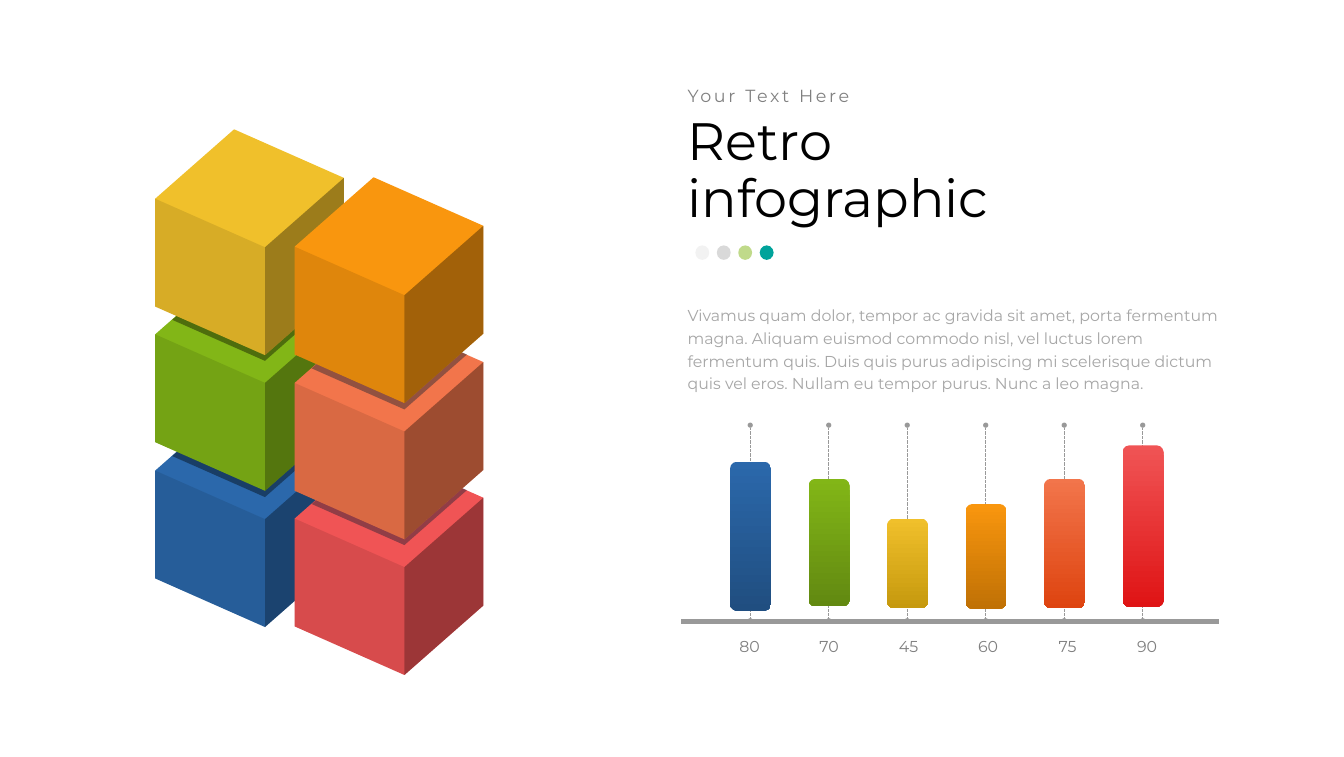
from dataclasses import dataclass

from lxml import etree
from pptx import Presentation
from pptx.dml.color import RGBColor
from pptx.enum import dml, shapes, text
from pptx.oxml import ns
from pptx.util import Inches, Pt


@dataclass(frozen=True)
class Theme:
    font: str = "Montserrat"
    title: str = "000000"
    muted: str = "808080"
    body: str = "A6A6A6"
    rule: str = "999999"
    shade: str = "000000"
    navy: str = "041B30"
    blue: str = "2B68AB"
    green: str = "82B617"
    yellow: str = "F0C02B"
    orange: str = "F9960E"
    coral: str = "F2754B"
    red: str = "F05455"
    title_size: int = 60
    kicker_size: int = 20
    text_size: int = 18


T = Theme()
BODY = (
    "Vivamus quam dolor, tempor ac gravida sit amet, porta fermentum magna. "
    "Aliquam euismod commodo nisl, vel luctus lorem fermentum quis. "
    "Duis quis purus adipiscing mi scelerisque dictum quis vel eros. "
    "Nullam eu tempor purus. Nunc a leo magna."
)
OUTLINE = [(1.25, 0), (0, 1.1), (0, 2.81), (1.74, 3.58), (2.99, 2.48), (2.99, 0.77)]
LEFT_FACE = [(0, 2.81), (1.74, 3.58), (1.74, 1.87), (0, 1.1)]
RIGHT_FACE = [(1.74, 3.58), (2.99, 2.48), (2.99, 0.77), (1.74, 1.87)]
CAST_SHADOW = [(0.27, 0.87), (1.74, 1.52), (2.73, 0.65), (1.26, 0)]
CUBES = [
    (2.46, 6.36, T.blue, T.shade),
    (2.46, 4.2, T.green, T.shade),
    (4.67, 7.12, T.red, T.navy),
    (4.67, 4.97, T.coral, T.navy),
    (2.46, 2.05, T.yellow, None),
    (4.67, 2.81, T.orange, None),
]
BARS = [
    ("80", 7.32, 2.36, T.blue, "204E80"),
    ("70", 7.59, 2.02, T.green, "628911"),
    ("45", 8.22, 1.42, T.yellow, "C6990E"),
    ("60", 7.99, 1.66, T.orange, "C07105"),
    ("75", 7.59, 2.05, T.coral, "DE4410"),
    ("90", 7.06, 2.56, T.red, "DF1415"),
]
DOTS = [("F2F2F2", 100), ("D9D9D9", 98), (T.green, 50), ("00A39B", 100)]


def rgb(color):
    return RGBColor.from_string(color)


def paint(sp, color, opacity=100):
    sp.shadow.inherit = False
    sp.line.fill.background()
    sp.fill.solid()
    sp.fill.fore_color.rgb = rgb(color)
    if opacity < 100:
        clr = sp.fill._xPr.find(".//" + ns.qn("a:srgbClr"))
        etree.SubElement(clr, ns.qn("a:alpha"), val=str(opacity * 1000))


def add_face(group, x, y, points, color, opacity=100):
    pts = [(Inches(x + dx), Inches(y + dy)) for dx, dy in points]
    builder = group.shapes.build_freeform(*pts[0])
    builder.add_line_segments(pts[1:], close=True)
    paint(builder.convert_to_shape(), color, opacity)


def add_cube(group, x, y, color, shadow):
    add_face(group, x, y, OUTLINE, color)
    add_face(group, x, y, LEFT_FACE, T.shade, 10)
    add_face(group, x, y, RIGHT_FACE, T.shade, 35)
    if shadow:
        add_face(group, x, y, CAST_SHADOW, shadow, 40)


def add_line(group, start, end, width, dotted=False):
    ends = [Inches(v) for v in (*start, *end)]
    line = group.shapes.add_connector(shapes.MSO_CONNECTOR.STRAIGHT, *ends)
    line.line.color.rgb = rgb(T.rule)
    line.line.width = Pt(width)
    if dotted:
        line.line.dash_style = dml.MSO_LINE.ROUND_DOT
        ln = line.line._get_or_add_ln()
        for tag in ("a:headEnd", "a:tailEnd"):
            etree.SubElement(ln, ns.qn(tag), type="oval")
    etree.SubElement(line._element.spPr, ns.qn("a:effectLst"))


def add_bar(group, x, y, height, top_color, bottom_color):
    bar = group.shapes.add_shape(
        shapes.MSO_SHAPE.ROUNDED_RECTANGLE,
        Inches(x), Inches(y), Inches(0.65), Inches(height),
    )
    bar.shadow.inherit = False
    bar.line.fill.background()
    bar.fill.gradient()
    bar.fill.gradient_angle = 270
    for stop, position, color in zip(bar.fill.gradient_stops, (0, 1), (top_color, bottom_color)):
        stop.position = position
        stop.color.rgb = rgb(color)


def add_text(parent, box, lines, size, color, spacing=None, tracking=0):
    tb = parent.shapes.add_textbox(*(Inches(v) for v in box))
    tf = tb.text_frame
    tf.word_wrap = True
    tf.text = "\n".join(lines)
    for p in tf.paragraphs:
        p.line_spacing = spacing
        for r in p.runs:
            r.font.name = T.font
            r.font.size = Pt(size)
            r.font.color.rgb = rgb(color)
            if tracking:
                r.font._element.set("spc", str(tracking * 100))
    return tf


def add_label(group, center, value):
    tf = add_text(group, (center - 0.17, 10.1, 0.34, 0.3), [value], T.text_size, T.muted)
    tf.margin_left = tf.margin_right = tf.margin_top = tf.margin_bottom = 0
    tf.word_wrap = False
    tf.auto_size = text.MSO_AUTO_SIZE.SHAPE_TO_FIT_TEXT
    tf.paragraphs[0].alignment = text.PP_ALIGN.CENTER


def add_bar_graphic(s):
    group = s.shapes.add_group_shape()
    add_line(group, (10.8, 9.85), (19.32, 9.85), 6)
    pitch = 6.22 / (len(BARS) - 1)
    for i, (value, y, height, top_color, bottom_color) in enumerate(BARS):
        x = 11.89 + i * pitch
        add_line(group, (x, 9.84), (x, 6.74), 0.75, dotted=True)
        add_bar(group, x - 0.32, y, height, top_color, bottom_color)
        add_label(group, 11.88 + i * 1.26, value)


def add_dots(s):
    group = s.shapes.add_group_shape()
    for i, (color, opacity) in enumerate(DOTS):
        dot = group.shapes.add_shape(
            shapes.MSO_SHAPE.OVAL,
            Inches(11.02 + i * 0.34), Inches(3.89), Inches(0.22), Inches(0.23),
        )
        paint(dot, color, opacity)


def main():
    prs = Presentation()
    prs.slide_width, prs.slide_height = Inches(21.3), Inches(12)
    s = prs.slides.add_slide(prs.slide_layouts[6])
    cubes = s.shapes.add_group_shape()
    for cube in CUBES:
        add_cube(cubes, *cube)
    add_bar_graphic(s)
    add_text(s, (10.8, 1.78, 5.16, 1.97), ["Retro", "infographic"], T.title_size, T.title, 0.9)
    add_text(s, (10.8, 1.34, 3.14, 0.44), ["Your Text Here"], T.kicker_size, T.muted, 0.9, 3)
    add_dots(s)
    body = add_text(s, (10.8, 4.74, 8.73, 1.56), [BODY], T.text_size, T.body, 1.2)
    body.auto_size = text.MSO_AUTO_SIZE.SHAPE_TO_FIT_TEXT
    prs.save("out.pptx")


if __name__ == "__main__":
    main()
